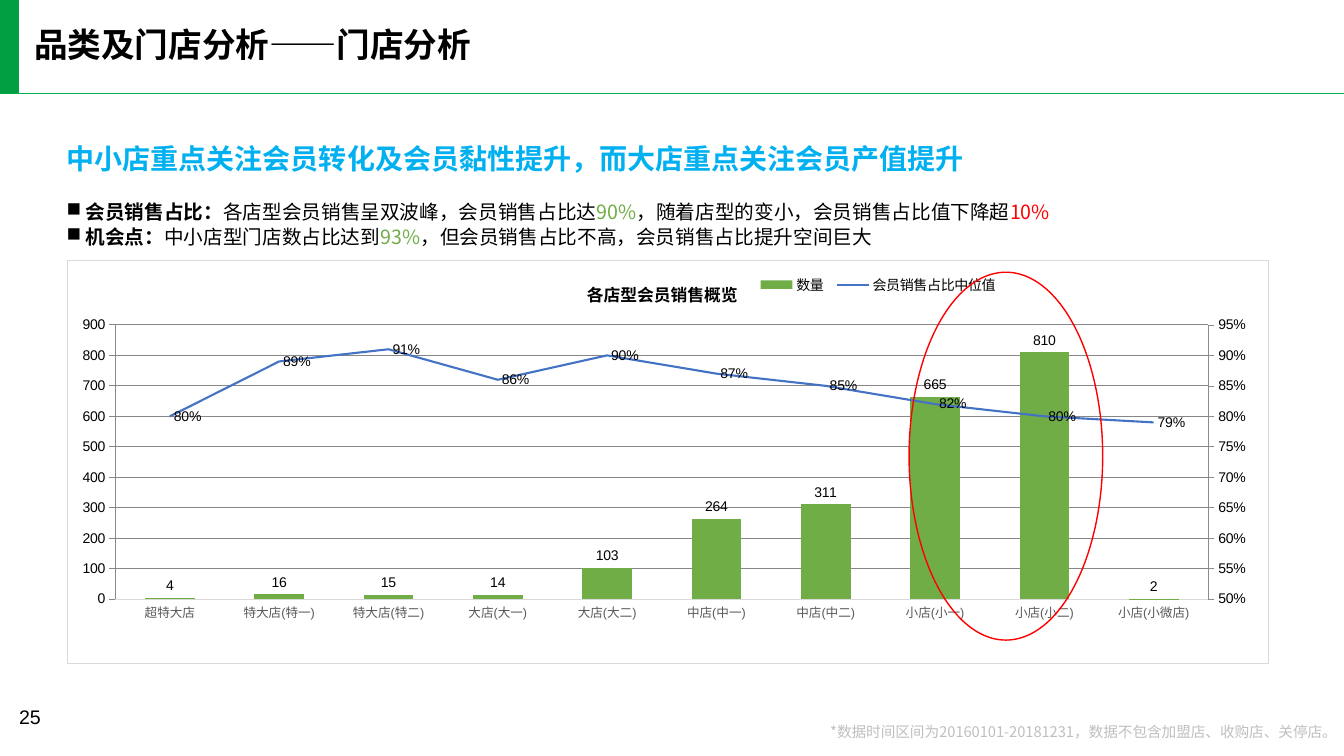
from lxml.etree import SubElement
from pptx import Presentation
from pptx.chart.axis import ValueAxis
from pptx.chart.data import CategoryChartData
from pptx.dml.color import RGBColor
from pptx.enum.chart import XL_CHART_TYPE, XL_LABEL_POSITION, XL_LEGEND_POSITION, XL_MARKER_STYLE, XL_TICK_MARK
from pptx.enum.shapes import MSO_CONNECTOR, MSO_SHAPE
from pptx.enum.text import MSO_ANCHOR, MSO_AUTO_SIZE, PP_ALIGN
from pptx.oxml import parse_xml
from pptx.oxml.ns import nsdecls, qn
from pptx.util import Cm, Pt

COLORS = {
    "black": "000000", "white": "FFFFFF", "brand": "029E42", "rule": "00B050",
    "headline": "00B0F0", "note": "BFBFBF", "bar": "70AD47", "trend": "4472C4",
    "grid": "D9D9D9", "axis": "595959", "tick": "8C8C8C", "alert": "FF0000",
}
CJK = "Noto Sans CJK SC"


def rgb(name):
    return RGBColor.from_string(COLORS[name])


def write(p, text, size=14, color="black", bold=False, font=CJK):
    """Append a run, with the same typeface for Latin and East Asian text."""
    r = p.add_run()
    r.text = text
    r.font.size, r.font.bold, r.font.name = Pt(size), bold, font
    r.font.color.rgb = rgb(color)
    SubElement(r._r.get_or_add_rPr(), qn("a:ea"), typeface=font)


prs = Presentation()
prs.slide_width, prs.slide_height = Cm(33.87), Cm(19.05)
s = prs.slides.add_slide(prs.slide_layouts[6])

# Header
rule = s.shapes.add_connector(MSO_CONNECTOR.STRAIGHT, 0, Cm(2.36), prs.slide_width, Cm(2.36))
rule.line.color.rgb, rule.line.width = rgb("rule"), Pt(1)
SubElement(rule._element.spPr, qn("a:effectLst"))
bar = s.shapes.add_shape(MSO_SHAPE.RECTANGLE, 0, Cm(-0.03), Cm(0.48), Cm(2.39))
bar.shadow.inherit = False
bar.fill.solid()
bar.fill.fore_color.rgb = rgb("brand")
bar.line.fill.background()

# Chart data
cd = CategoryChartData()
cd.categories = ["超特大店", "特大店(特一)", "特大店(特二)", "大店(大一)", "大店(大二)",
                 "中店(中一)", "中店(中二)", "小店(小一)", "小店(小二)", "小店(小微店)"]
cd.add_series("数量", [4, 16, 15, 14, 103, 264, 311, 665, 810, 2])
cd.add_series("会员销售占比中位值", [0.8, 0.89, 0.91, 0.86, 0.9, 0.87, 0.85, 0.82, 0.8, 0.79], "0%")
chart = s.shapes.add_chart(XL_CHART_TYPE.COLUMN_CLUSTERED, Cm(1.68), Cm(6.55),
                           Cm(30.3), Cm(10.19), cd).chart
chart.font.name, chart.font.size = "Arial", Pt(10)
chart.font.color.rgb = rgb("black")
chart.plots[0].gap_width = 120
chart.plots[0].vary_by_categories = False

# Move the share series to a line plot on a second axis
area = chart._chartSpace.chart.plotArea
share = area.findall(".//" + qn("c:ser"))[1]
for flag in share.findall(qn("c:invertIfNegative")):
    share.remove(flag)
line_plot = parse_xml(
    f'<c:lineChart {nsdecls("c")}><c:grouping val="standard"/><c:varyColors val="0"/>'
    '<c:marker val="1"/><c:axId val="5001"/><c:axId val="5002"/></c:lineChart>')
line_plot.insert(2, share)
area.find(qn("c:barChart")).addnext(line_plot)
right_axis = parse_xml(
    f'<c:valAx {nsdecls("c")}><c:axId val="5002"/><c:scaling/><c:delete val="0"/>'
    '<c:axPos val="r"/><c:numFmt formatCode="0%" sourceLinked="0"/><c:majorTickMark val="out"/>'
    '<c:minorTickMark val="none"/><c:tickLblPos val="nextTo"/><c:crossAx val="5001"/>'
    '<c:crosses val="max"/></c:valAx>')
hidden_axis = parse_xml(
    f'<c:catAx {nsdecls("c")}><c:axId val="5001"/><c:scaling/><c:delete val="1"/>'
    '<c:axPos val="b"/><c:crossAx val="5002"/><c:crosses val="autoZero"/></c:catAx>')
area.find(qn("c:valAx")).addnext(right_axis)
right_axis.addnext(hidden_axis)

# Series and their labels
count, trend = chart.plots[0].series[0], chart.plots[1].series[0]
count.format.fill.solid()
count.format.fill.fore_color.rgb = rgb("bar")
trend.format.line.color.rgb, trend.format.line.width = rgb("trend"), Pt(1.5)
trend.marker.style, trend.smooth = XL_MARKER_STYLE.NONE, False
for ser, position, fmt in [(count, XL_LABEL_POSITION.OUTSIDE_END, "General"),
                           (trend, XL_LABEL_POSITION.RIGHT, "0%")]:
    labels = ser.data_labels
    labels.show_value, labels.position = True, position
    labels.number_format, labels.number_format_is_linked = fmt, False
    labels.font.name, labels.font.size = "Arial", Pt(10)
    labels.font.color.rgb = rgb("black")

# Axes
share_axis = ValueAxis(right_axis)
for axis, size, color, tick, stroke, width in [
        (chart.category_axis, 9, "axis", XL_TICK_MARK.NONE, "grid", 0.75),
        (chart.value_axis, 9, "axis", XL_TICK_MARK.NONE, None, 0),
        (share_axis, 10, "black", XL_TICK_MARK.OUTSIDE, "tick", 0.5)]:
    axis.major_tick_mark = tick
    font = axis.tick_labels.font
    font.name, font.size, font.color.rgb = "Arial", Pt(size), rgb(color)
    if stroke:
        axis.format.line.color.rgb, axis.format.line.width = rgb(stroke), Pt(width)
    else:
        axis.format.line.fill.background()
for axis, low, high, step in [(chart.value_axis, 0, 900, 100), (share_axis, 0.5, 0.95, 0.05)]:
    axis.minimum_scale, axis.maximum_scale, axis.major_unit = low, high, step
grid = chart.value_axis.major_gridlines.format.line
grid.color.rgb, grid.width = rgb("grid"), Pt(0.75)

# Title, legend, frame and their places
write(chart.chart_title.text_frame.paragraphs[0], "各店型会员销售概览", size=12, bold=True)
chart.has_legend = True
chart.legend.position, chart.legend.include_in_layout = XL_LEGEND_POSITION.BOTTOM, False
font = chart.legend.font
font.name, font.size, font.color.rgb = "Arial", Pt(10), rgb("black")
for element, index, target, place in [
        (area, 0, '<c:layoutTarget val="inner"/>', {"x": 0.04, "y": 0.16, "w": 0.91, "h": 0.68}),
        (chart.chart_title._element, 1, "", {"x": 0.43, "y": 0.04}),
        (chart.legend._element, 1, "", {"x": 0.57, "y": 0.03, "w": 0.21, "h": 0.06})]:
    for old in element.findall(qn("c:layout")):
        element.remove(old)
    modes = "".join(f'<c:{k}Mode val="edge"/>' for k in place if k in "xy")
    sizes = "".join(f'<c:{k} val="{v}"/>' for k, v in place.items())
    element.insert(index, parse_xml(
        f'<c:layout {nsdecls("c")}><c:manualLayout>{target}{modes}{sizes}</c:manualLayout></c:layout>'))
chart._chartSpace.chart.addnext(parse_xml(
    f'<c:spPr {nsdecls("c", "a")}><a:solidFill><a:srgbClr val="{COLORS["white"]}"/></a:solidFill>'
    f'<a:ln w="{Pt(0.75)}"><a:solidFill><a:srgbClr val="{COLORS["grid"]}"/></a:solidFill></a:ln></c:spPr>'))

# Text boxes: place, paragraphs of (text, format) runs, options
boxes = [
    ((0.86, 0.71, 15.98, 0.91), [[("品类及门店分析——门店分析", {"size": 24, "bold": True})]],
     {"spacing": 0.9}),
    ((20.52, 18.26, 13.18, 0.41),
     [[("*数据时间区间为20160101-20181231，数据不包含加盟店、收购店、关停店。",
        {"size": 10.5, "color": "note"})]],
     {"spacing": 0.9, "align": PP_ALIGN.RIGHT, "wrap": False, "grow": True}),
    ((0.23, 17.65, 2.31, 1.02), [[("25", {"font": "Arial"})]], {"inset": True}),
    ((1.68, 5, 29.46, 1.27),
     [[("会员销售占比：", {"bold": True}), ("各店型会员销售呈双波峰，会员销售占比达", {}),
       ("90%", {"color": "bar"}), ("，随着店型的变小，会员销售占比值下降超", {}),
       ("10%", {"color": "alert"})],
      [("机会点：", {"bold": True}), ("中小店型门店数占比达到", {}), ("93%", {"color": "bar"}),
       ("，但会员销售占比不高，会员销售占比提升空间巨大", {})]],
     {"spacing": Pt(18), "middle": True, "grow": True, "bullet": "■"}),
    ((1.68, 3.78, 30.63, 0.64),
     [[("中小店重点关注会员转化及会员黏性提升，而大店重点关注会员产值提升",
        {"size": 20, "color": "headline", "bold": True})]],
     {"spacing": Pt(18), "middle": True, "grow": True}),
]
for place, paragraphs, opt in boxes:
    tf = s.shapes.add_textbox(*map(Cm, place)).text_frame
    tf.word_wrap = opt.get("wrap", True)
    tf.auto_size = MSO_AUTO_SIZE.SHAPE_TO_FIT_TEXT if opt.get("grow") else MSO_AUTO_SIZE.NONE
    tf.vertical_anchor = MSO_ANCHOR.MIDDLE if opt.get("middle") else MSO_ANCHOR.TOP
    if not opt.get("inset"):
        tf.margin_left = tf.margin_top = tf.margin_right = tf.margin_bottom = 0
    for i, runs in enumerate(paragraphs):
        p = tf.add_paragraph() if i else tf.paragraphs[0]
        p.alignment = opt.get("align", PP_ALIGN.LEFT)
        p.line_spacing = opt.get("spacing")
        if "bullet" in opt:
            pPr = p._p.get_or_add_pPr()
            pPr.set("marL", str(Cm(0.48)))
            pPr.set("indent", str(Cm(-0.48)))
            SubElement(pPr, qn("a:buChar"), char=opt["bullet"])
        for text, fmt in runs:
            write(p, text, **fmt)

# Highlight around the small stores
ring = s.shapes.add_shape(MSO_SHAPE.OVAL, Cm(22.91), Cm(6.86), Cm(4.88), Cm(9.27))
ring.shadow.inherit = False
ring.fill.background()
ring.line.color.rgb, ring.line.width = rgb("alert"), Pt(1)

prs.save("out.pptx")
